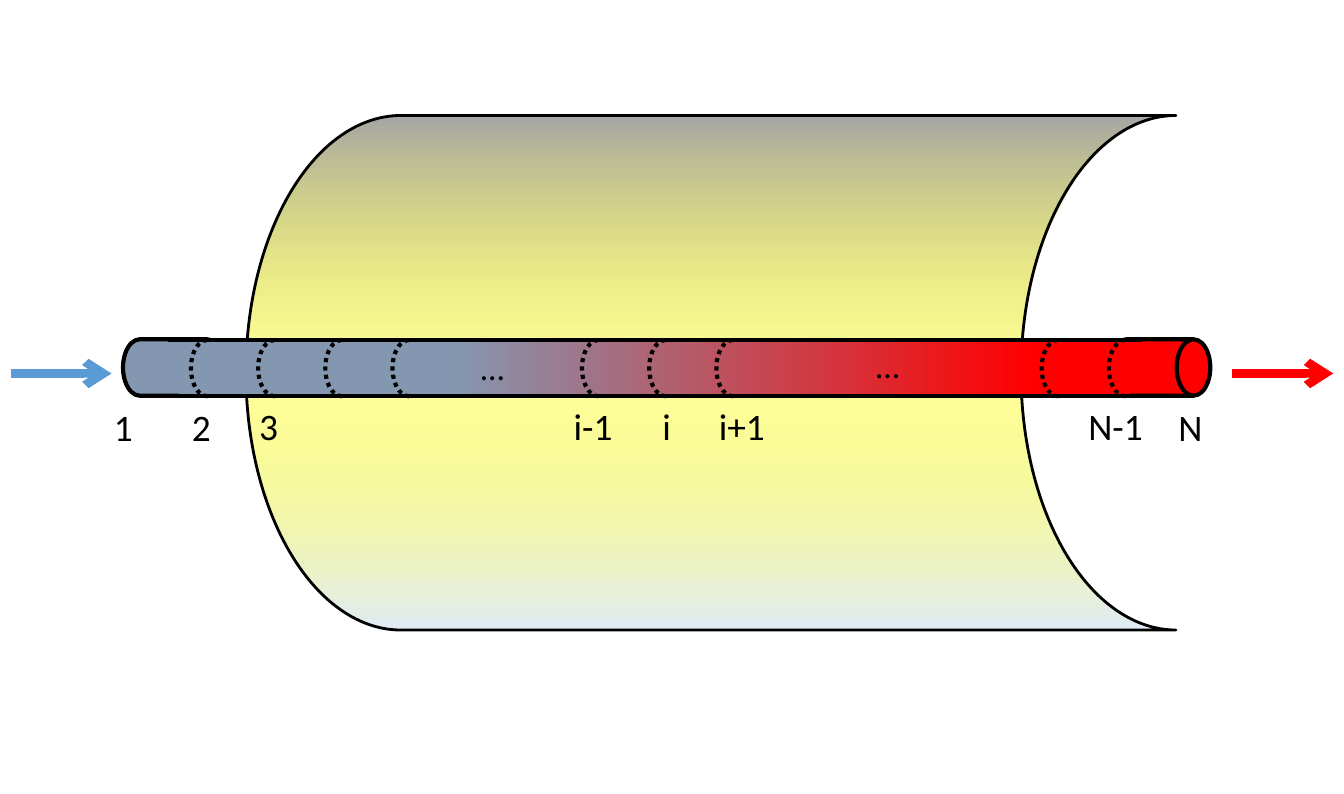
from lxml.etree import SubElement
from pptx import Presentation
from pptx.dml.color import RGBColor
from pptx.enum.dml import MSO_LINE
from pptx.enum.shapes import MSO_CONNECTOR, MSO_SHAPE
from pptx.enum.text import MSO_AUTO_SIZE
from pptx.oxml.ns import qn
from pptx.util import Inches, Pt

COLORS = {"black": "000000", "cold": "8497B0", "hot": "FF0000", "inflow": "5B9BD5",
          "shade": "A6A6A6", "glow": "FFFF00", "sky": "E1EBFB"}

# Content: text, left, top
LABELS = [("1", 0.75, 2.96), ("2", 1.33, 2.96), ("3", 1.83, 2.95),
          ("i-1", 4.17, 2.95), ("i", 4.83, 2.95), ("i+1", 5.25, 2.95),
          ("N", 8.67, 2.96), ("N-1", 8, 2.95)]
DOTS = [("…", 6.42, 2.52), ("…", 3.48, 2.53)]
# Node groups: first node, number of nodes
NODES = [(1.42, 4), (4.33, 3), (7.75, 2)]
NODE_STEP = 0.5
FLOWS = [(0.08, "inflow"), (9.17, "hot")]
# Gradient stops: position %, color, opacity %
MIRROR = [(0, "shade", 100), (50, "glow", 37), (100, "sky", 100)]
HEATING = [(0, "cold", 100), (29, "cold", 100), (90, "hot", 100), (100, "hot", 100)]
TUBE_TOP, TUBE_H = 2.53, 0.42

prs = Presentation()
prs.slide_width, prs.slide_height = Inches(10), Inches(5.91)
slide = prs.slides.add_slide(prs.slide_layouts[6])


def rgb(name):
    return RGBColor.from_string(COLORS[name])


def set_line(s, color, width):
    s.line.color.rgb = rgb(color)
    s.line.width = Pt(width)


def add_shape(kind, *box, fill=None, width=None, rotation=0):
    s = slide.shapes.add_shape(kind, *map(Inches, box))
    s.shadow.inherit = False
    s.rotation = rotation
    if fill:
        s.fill.solid()
        s.fill.fore_color.rgb = rgb(fill)
    else:
        s.fill.background()
    if width:
        set_line(s, "black", width)
    else:
        s.line.fill.background()
    return s


def set_gradient(s, stops, angle):
    s.fill.gradient()
    s.fill.gradient_angle = angle
    gs_list = s._element.spPr.find(qn("a:gradFill")).find(qn("a:gsLst"))
    gs_list.clear()
    for pos, color, opacity in stops:
        gs = SubElement(gs_list, qn("a:gs"), pos=str(pos * 1000))
        clr = SubElement(gs, qn("a:srgbClr"), val=COLORS[color])
        if opacity < 100:
            SubElement(clr, qn("a:alpha"), val=str(opacity * 1000))


def add_line(x1, x2, y, color, width, arrow=False):
    c = slide.shapes.add_connector(MSO_CONNECTOR.STRAIGHT, *map(Inches, (x1, y, x2, y)))
    set_line(c, color, width)
    if arrow:
        SubElement(c.line._get_or_add_ln(), qn("a:tailEnd"), type="arrow")
    SubElement(c._element.spPr, qn("a:effectLst"))


def add_text(text, *box, size):
    tf = slide.shapes.add_textbox(*map(Inches, box)).text_frame
    tf.word_wrap = True
    tf.auto_size = MSO_AUTO_SIZE.SHAPE_TO_FIT_TEXT
    r = tf.paragraphs[0].add_run()
    r.text = text
    for key, value in {"name": "Calibri", "size": Pt(size)}.items():
        setattr(r.font, key, value)
    r.font.color.rgb = rgb("black")


# Tube ends and trough mirror
disk = MSO_SHAPE.FLOWCHART_MAGNETIC_DISK
add_shape(disk, 1.08, 2.36, TUBE_H, 0.75, fill="cold", width=2.25, rotation=90)
mirror = add_shape(MSO_SHAPE.FLOWCHART_STORED_DATA, 1.83, 0.86, 6.92, 3.83, width=1.5)
set_gradient(mirror, MIRROR, 270)
add_shape(disk, 8.42, 2.36, TUBE_H, 0.75, fill="hot", width=2.25, rotation=90)

# Tube body and edges
tube = add_shape(MSO_SHAPE.RECTANGLE, 1.33, TUBE_TOP, 7.08, TUBE_H)
set_gradient(tube, HEATING, 0)
for y in (TUBE_TOP, TUBE_TOP + TUBE_H):
    add_line(1.25, 8.5, y, "black", 2.25)

# Dotted node sections
for start, count in NODES:
    for i in range(count):
        arc = add_shape(MSO_SHAPE.ARC, start + i * NODE_STEP, TUBE_TOP, 0.25, TUBE_H,
                        width=2.25, rotation=180)
        arc.adjustments[0], arc.adjustments[1] = 162, 54.1
        arc.line.dash_style = MSO_LINE.ROUND_DOT

# Node labels, flow arrows, ellipses
for text, x, y in LABELS:
    add_text(text, x, y, 0.67, 0.44, size=20)
for x, color in FLOWS:
    add_line(x, x + 0.75, 2.78, color, 4.5, arrow=True)
for text, x, y in DOTS:
    add_text(text, x, y, 0.96, 0.4, size=18)

prs.save("out.pptx")
